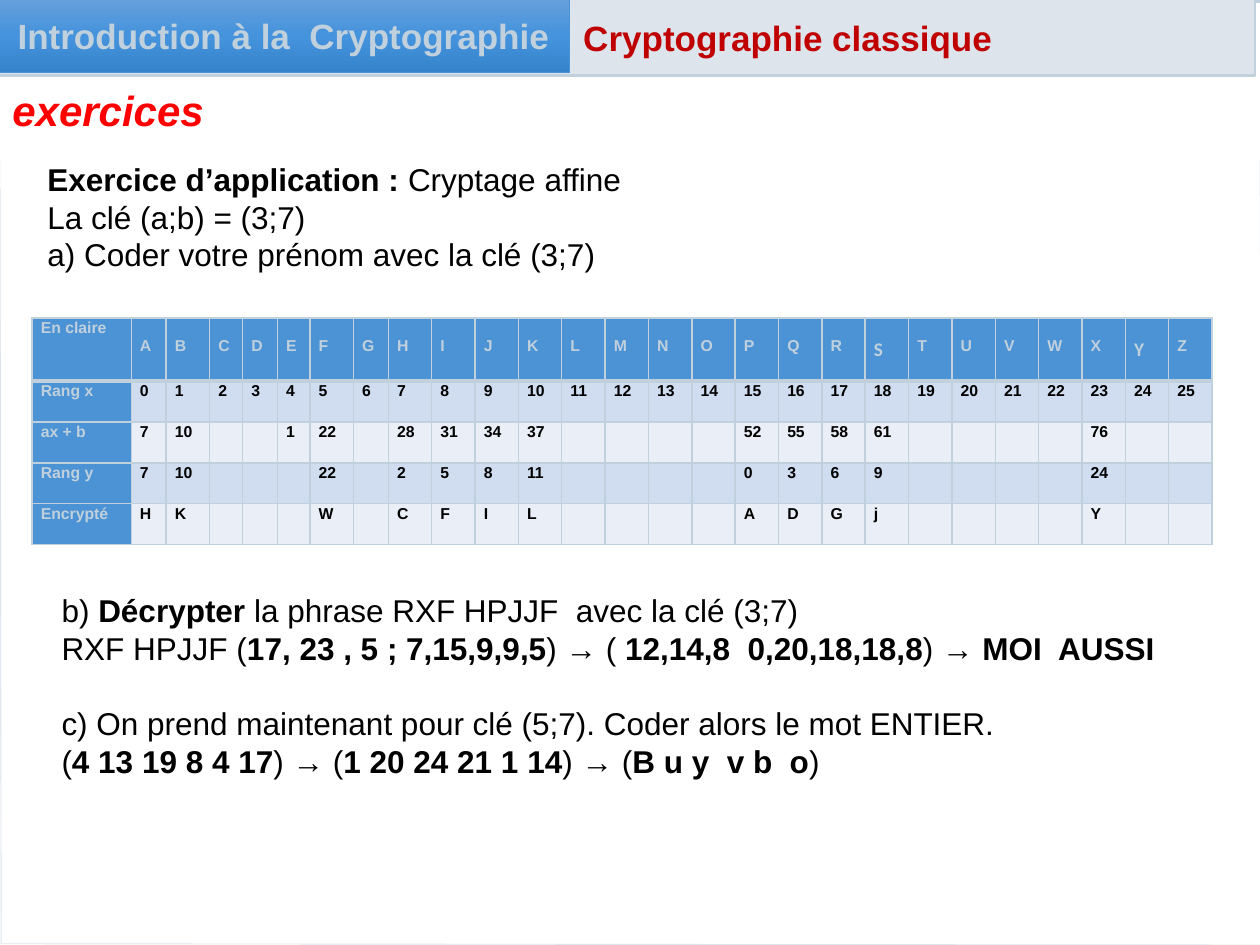
import copy

import pptx
import pptx.dml.color
import pptx.enum.shapes
import pptx.enum.text
import pptx.oxml
import pptx.oxml.ns
import pptx.util
from pptx.util import Pt

COLORS = {
    "white": "FFFFFF", "black": "000000", "mist": "C1D0DD", "pale": "DDE4EB",
    "blue": "4B93D5", "sky": "669FDB", "azure": "4493DC", "deep": "3583CB",
    "band_dark": "D0DCEF", "band_light": "E9EEF7",
    "crimson": "C00000", "red": "FF0000",
}
ALPHABET = "ABCDEFGHIJKLMNOPQRSTUVWXYZ"
CALIBRI_LETTERS = "SY"
EMPTY = "-"
TABLE_ROWS = [
    ("Rang x", [str(rank) for rank in range(26)]),
    ("ax + b", "7 10 - - 1 22 - 28 31 34 37 - - - - 52 55 58 61 - - - - 76 - -".split()),
    ("Rang y", "7 10 - - - 22 - 2 5 8 11 - - - - 0 3 6 9 - - - - 24 - -".split()),
    ("Encrypté", "H K - - - W - C F I L - - - - A D G j - - - - Y - -".split()),
]
LABEL_WIDTH, LETTER_WIDTH = 56.7, 24.8
NARROW_WIDTHS = {"A": 20, "C": 18.9, "D": 19.9, "E": 18.6, "G": 20}
HEADER_HEIGHT, ROW_HEIGHT = 36, 23.4


def rgb(name):
    return pptx.dml.color.RGBColor.from_string(COLORS[name])


def set_gradient(fill, owner, names):
    """Fill from top to bottom with evenly spaced colours."""
    fill.gradient()
    fill.gradient_angle = 270
    stop_list = next(owner.iter(pptx.oxml.ns.qn("a:gsLst")))
    while len(stop_list) < len(names):
        stop_list.append(copy.deepcopy(stop_list[-1]))
    for index, (stop, name) in enumerate(zip(fill.gradient_stops, names)):
        stop.color.rgb = rgb(name)
        stop.position = index / (len(names) - 1)


def set_line(shape, name, width):
    shape.line.color.rgb = rgb(name)
    shape.line.width = Pt(width)


def add_rectangle(slide, box, line_color, line_width, fill_color=None):
    shape = slide.shapes.add_shape(
        pptx.enum.shapes.MSO_SHAPE.RECTANGLE, *[Pt(value) for value in box])
    shape.shadow.inherit = False
    if fill_color:
        shape.fill.solid()
        shape.fill.fore_color.rgb = rgb(fill_color)
    set_line(shape, line_color, line_width)
    return shape


def add_polygon(slide, box, points):
    left, top = box
    first, *others = [(Pt(left + x), Pt(top + y)) for x, y in points]
    builder = slide.shapes.build_freeform(*first)
    builder.add_line_segments(others, close=True)
    shape = builder.convert_to_shape()
    shape.shadow.inherit = False
    shape.fill.solid()
    shape.fill.fore_color.rgb = rgb("white")
    return shape


def format_run(run, size, color, bold=True, italic=False, font="Arial"):
    run.font.name = font
    run.font.size = Pt(size)
    run.font.bold = bold
    run.font.italic = italic
    run.font.color.rgb = rgb(color)


def add_title(slide, box, text, size, color, italic=False):
    text_frame = slide.shapes.add_textbox(*[Pt(value) for value in box]).text_frame
    text_frame.word_wrap = True
    text_frame.text = text
    format_run(text_frame.paragraphs[0].runs[0], size, color, italic=italic)


def add_exercise(slide, box, lines):
    """Write (text, space before) lines; ** marks the start and end of bold."""
    text_frame = slide.shapes.add_textbox(*[Pt(value) for value in box]).text_frame
    text_frame.word_wrap = True
    for index, (line, space_before) in enumerate(lines):
        paragraph = text_frame.add_paragraph() if index else text_frame.paragraphs[0]
        if space_before:
            paragraph.space_before = Pt(space_before)
        for position, piece in enumerate(line.split("**")):
            if piece:
                run = paragraph.add_run()
                run.text = piece
                format_run(run, 18, "black", bold=position % 2 == 1)


def add_backdrop(slide):
    set_gradient(slide.background.fill, slide._element, ["mist", "white"])
    page = add_polygon(slide, (0, 87), [(0.7, 452.3), (722, 453), (720, 0), (0, 0)])
    set_line(page, "pale", 0.5)
    wave = add_polygon(slide, (0, 54), [
        (718.6, 1.4), (306.7, 0.7), (293.8, 1.4), (272.2, 11.5), (256.3, 15.1),
        (0, 14.4), (0, 54), (450.7, 54), (459.4, 51.8), (485.3, 40.3),
        (498.2, 39.6), (719.3, 39.6)])
    wave.line.fill.background()
    color = next(wave._element.spPr.iter(pptx.oxml.ns.qn("a:srgbClr")))
    pptx.oxml.ns.qn("a:alpha")
    color.append(pptx.oxml.parse_xml(
        f'<a:alpha {pptx.oxml.ns.nsdecls("a")} val="50000"/>'))
    add_rectangle(slide, (0, 2.2, 720, 88.6), "white", 1, "white")


def add_header(slide, box):
    left, top, width, height = box
    add_rectangle(slide, box, "mist", 1.5, "pale")
    add_title(slide, (left + 327.6, top + 7.9, 329, 31.5),
              "Cryptographie classique", 20, "crimson")
    course = add_rectangle(slide, (left, top + 1.4, 326.9, height - 2.9), "blue", 0.5)
    set_gradient(course.fill, course._element, ["sky", "azure", "deep"])
    text_frame = course.text_frame
    text_frame.word_wrap = True
    text_frame.vertical_anchor = pptx.enum.text.MSO_ANCHOR.MIDDLE
    text_frame.text = "Introduction à la  Cryptographie"
    text_frame.paragraphs[0].alignment = pptx.enum.text.PP_ALIGN.CENTER
    format_run(text_frame.paragraphs[0].runs[0], 20, "mist")


def set_borders(cell, bottom_width):
    properties = cell._tc.get_or_add_tcPr()
    for side, width in (("L", 1), ("R", 1), ("T", 1), ("B", bottom_width)):
        properties.append(pptx.oxml.parse_xml(
            f'<a:ln{side} {pptx.oxml.ns.nsdecls("a")} w="{Pt(width)}"><a:solidFill>'
            f'<a:srgbClr val="{COLORS["mist"]}"/></a:solidFill></a:ln{side}>'))


def fill_cell(cell, text, fill_color, text_color, top_margin=0, bottom_width=1):
    set_borders(cell, bottom_width)
    cell.fill.solid()
    cell.fill.fore_color.rgb = rgb(fill_color)
    cell.margin_left = cell.margin_right = Pt(5)
    cell.margin_top, cell.margin_bottom = Pt(top_margin), Pt(0)
    if text == EMPTY:
        return
    cell.text_frame.text = text
    paragraph = cell.text_frame.paragraphs[0]
    paragraph.line_spacing = 1.07
    special = top_margin and text in CALIBRI_LETTERS
    format_run(paragraph.runs[0], 11 if special else 9, text_color,
               font="Calibri" if special else "Arial")


def add_cipher_table(slide, left, top):
    widths = [LABEL_WIDTH] + [NARROW_WIDTHS.get(letter, LETTER_WIDTH) for letter in ALPHABET]
    heights = [HEADER_HEIGHT] + [ROW_HEIGHT] * len(TABLE_ROWS)
    table = slide.shapes.add_table(
        len(heights), len(widths), Pt(left), Pt(top),
        Pt(sum(widths)), Pt(sum(heights))).table
    table.horz_banding = False
    for column, width in zip(table.columns, widths):
        column.width = Pt(width)
    for row, height in zip(table.rows, heights):
        row.height = Pt(height)

    fill_cell(table.cell(0, 0), "En claire", "blue", "mist", bottom_width=3)
    for column, letter in enumerate(ALPHABET, 1):
        fill_cell(table.cell(0, column), letter, "blue", "mist", 10.5, 3)
    for row, (label, values) in enumerate(TABLE_ROWS, 1):
        band = "band_dark" if row % 2 else "band_light"
        fill_cell(table.cell(row, 0), label, "blue", "mist")
        for column, value in enumerate(values, 1):
            fill_cell(table.cell(row, column), value, band, "black")


def main():
    presentation = pptx.Presentation()
    presentation.slide_width, presentation.slide_height = Pt(720), Pt(540)
    slide = presentation.slides.add_slide(presentation.slide_layouts[6])
    add_backdrop(slide)
    add_header(slide, (-1.4, -2.2, 718.6, 45.4))
    add_title(slide, (0, 44.6, 717, 36), "exercices", 24, "red", italic=True)
    add_cipher_table(slide, 18.3, 181.7)
    add_exercise(slide, (20, 87.8, 657.4, 72.7), [
        ("**Exercice d’application : **Cryptage affine", 0),
        ("La clé (a;b) = (3;7)", 0),
        ("a) Coder votre prénom avec la clé (3;7)", 0),
    ])
    add_exercise(slide, (28.1, 334.1, 657.4, 138.2), [
        ("b) **Décrypter** la phrase RXF HPJJF  avec la clé (3;7)", 0),
        ("RXF HPJJF (**17, 23 , 5 ; 7,15,9,9,5**) → ( **12,14,8  0,20,18,18,8**"
         ") → **MOI  AUSSI**", 0),
        ("c) On prend maintenant pour clé (5;7). Coder alors le mot ENTIER.", 21.6),
        ("(**4 13 19 8 4 17**) → (**1 20 24 21 1 14**) → (**B u y  v b  o**)", 0),
    ])
    presentation.save("out.pptx")


if __name__ == "__main__":
    main()
